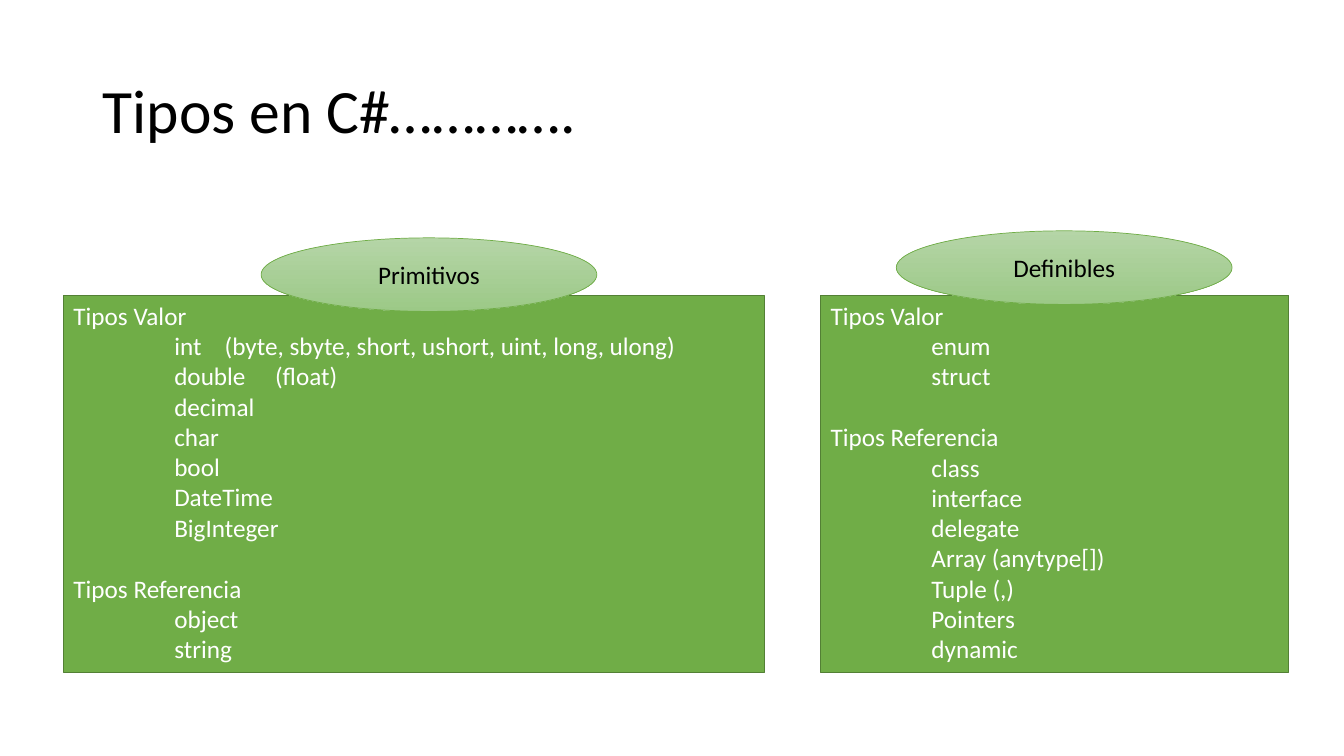
from pptx import Presentation
from pptx.dml.color import RGBColor
from pptx.enum.shapes import MSO_SHAPE as SHAPE
from pptx.enum.text import MSO_ANCHOR as ANCHOR, MSO_AUTO_SIZE as AUTO, PP_ALIGN as ALIGN
from pptx.util import Inches, Pt

BLACK = RGBColor(0x00, 0x00, 0x00)
WHITE = RGBColor(0xFF, 0xFF, 0xFF)
GREEN = RGBColor(0x70, 0xAD, 0x47)
DARK_GREEN = RGBColor(0x53, 0x80, 0x35)
PALE_TOP = RGBColor(0xB5, 0xD5, 0xA7)
PALE_BOTTOM = RGBColor(0x9C, 0xC9, 0x87)

FONT = "Calibri"
BODY_SIZE = 18
BLANK_LINE = Pt(22)
PANEL_TOP, PANEL_H = 2.93, 3.74
LABEL_W, LABEL_H = 3.33, 0.73

PRIMITIVES = {
    "Tipos Valor": [
        "int\t(byte, sbyte, short, ushort, uint, long, ulong)",
        "double\t(float)", "decimal", "char", "bool", "DateTime", "BigInteger",
    ],
    "Tipos Referencia": ["object", "string"],
}
DEFINABLES = {
    "Tipos Valor": ["enum", "struct"],
    "Tipos Referencia": [
        "class", "interface", "delegate", "Array (anytype[])", "Tuple (,)",
        "Pointers", "dynamic",
    ],
}


def add_run(p, text, size, color):
    r = p.add_run()
    r.text = text
    r.font.name = FONT
    r.font.size = Pt(size)
    r.font.color.rgb = color


def add_title(s, text, left, top, width, height):
    sp = s.shapes.add_textbox(Inches(left), Inches(top), Inches(width), Inches(height))
    tf = sp.text_frame
    tf.word_wrap = True
    tf.vertical_anchor = ANCHOR.MIDDLE
    p = tf.paragraphs[0]
    p.line_spacing = 0.9
    add_run(p, text, 44, BLACK)


def add_outlined(s, kind, box, line_color, line_width):
    sp = s.shapes.add_shape(kind, *map(Inches, box))
    sp.shadow.inherit = False
    sp.line.color.rgb = line_color
    sp.line.width = Pt(line_width)
    return sp


def add_type_list(s, groups, box):
    """Green panel with one heading per group and its types indented below."""
    sp = add_outlined(s, SHAPE.RECTANGLE, box, DARK_GREEN, 1)
    sp.fill.solid()
    sp.fill.fore_color.rgb = GREEN
    tf = sp.text_frame
    tf.word_wrap = True
    tf.auto_size = AUTO.SHAPE_TO_FIT_TEXT
    tf.vertical_anchor = ANCHOR.TOP
    p = tf.paragraphs[0]
    for i, (heading, types) in enumerate(groups.items()):
        if i:
            p = tf.add_paragraph()
            p.space_before = BLANK_LINE
        p.alignment = ALIGN.LEFT
        add_run(p, heading, BODY_SIZE, WHITE)
        for name in types:
            p = tf.add_paragraph()
            p.alignment = ALIGN.LEFT
            p._p.get_or_add_pPr().set("marL", str(Inches(1)))
            add_run(p, name, BODY_SIZE, WHITE)


def add_label(s, text, box):
    sp = add_outlined(s, SHAPE.OVAL, box, GREEN, 0.5)
    sp.fill.gradient()
    sp.fill.gradient_angle = 270
    for stop, color in zip(sp.fill.gradient_stops, (PALE_TOP, PALE_BOTTOM)):
        stop.color.rgb = color
    tf = sp.text_frame
    tf.vertical_anchor = ANCHOR.MIDDLE
    p = tf.paragraphs[0]
    p.alignment = ALIGN.CENTER
    add_run(p, text, BODY_SIZE, BLACK)


def add_panel(s, label, groups, left, width, label_dx, label_rise):
    """Type list with an oval label overlapping its top edge."""
    add_type_list(s, groups, (left, PANEL_TOP, width, PANEL_H))
    add_label(s, label, (left + label_dx, PANEL_TOP - label_rise, LABEL_W, LABEL_H))


def main():
    prs = Presentation()
    prs.slide_width, prs.slide_height = Inches(13.33), Inches(7.5)
    s = prs.slides.add_slide(prs.slide_layouts[6])
    add_title(s, "Tipos en C#………….", 0.92, 0.4, 11.5, 1.45)
    add_panel(s, "Primitivos", PRIMITIVES, 0.63, 6.95, 1.96, 0.57)
    add_panel(s, "Definibles", DEFINABLES, 8.14, 4.64, 0.75, 0.64)
    prs.save("out.pptx")


if __name__ == "__main__":
    main()
